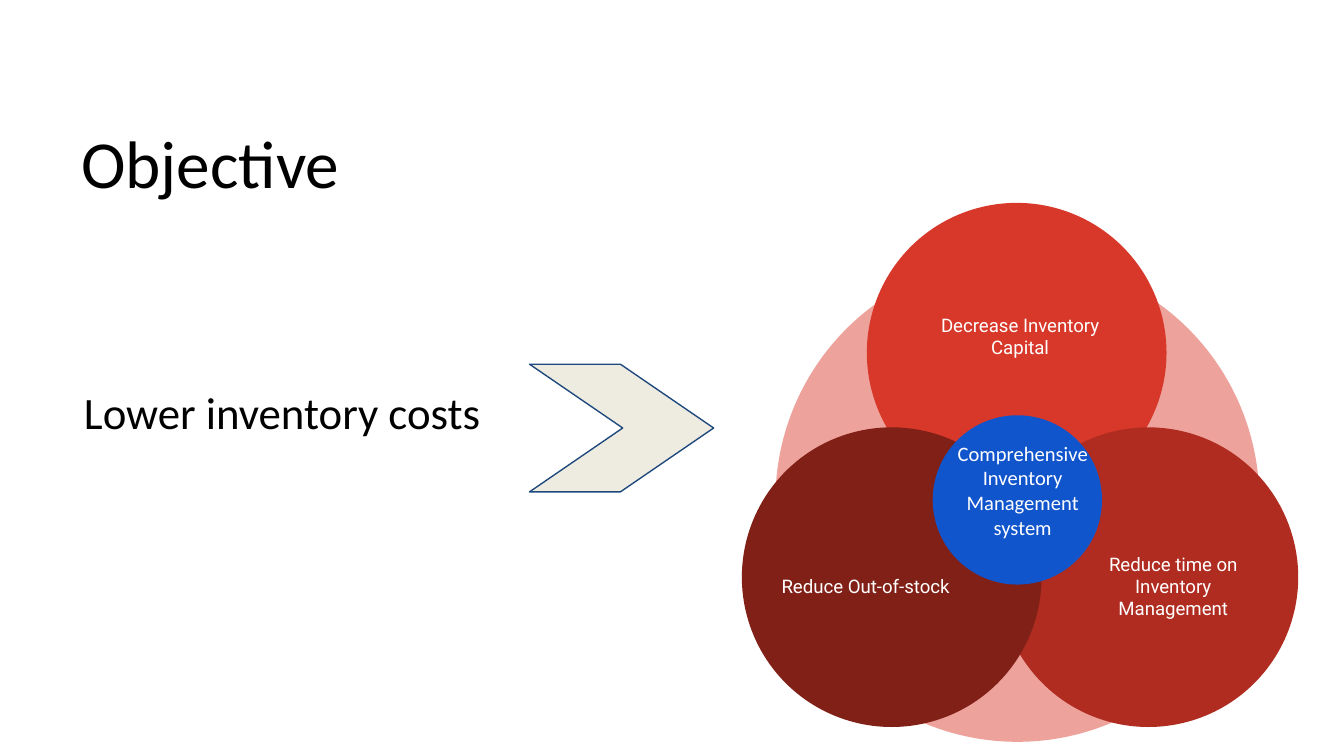
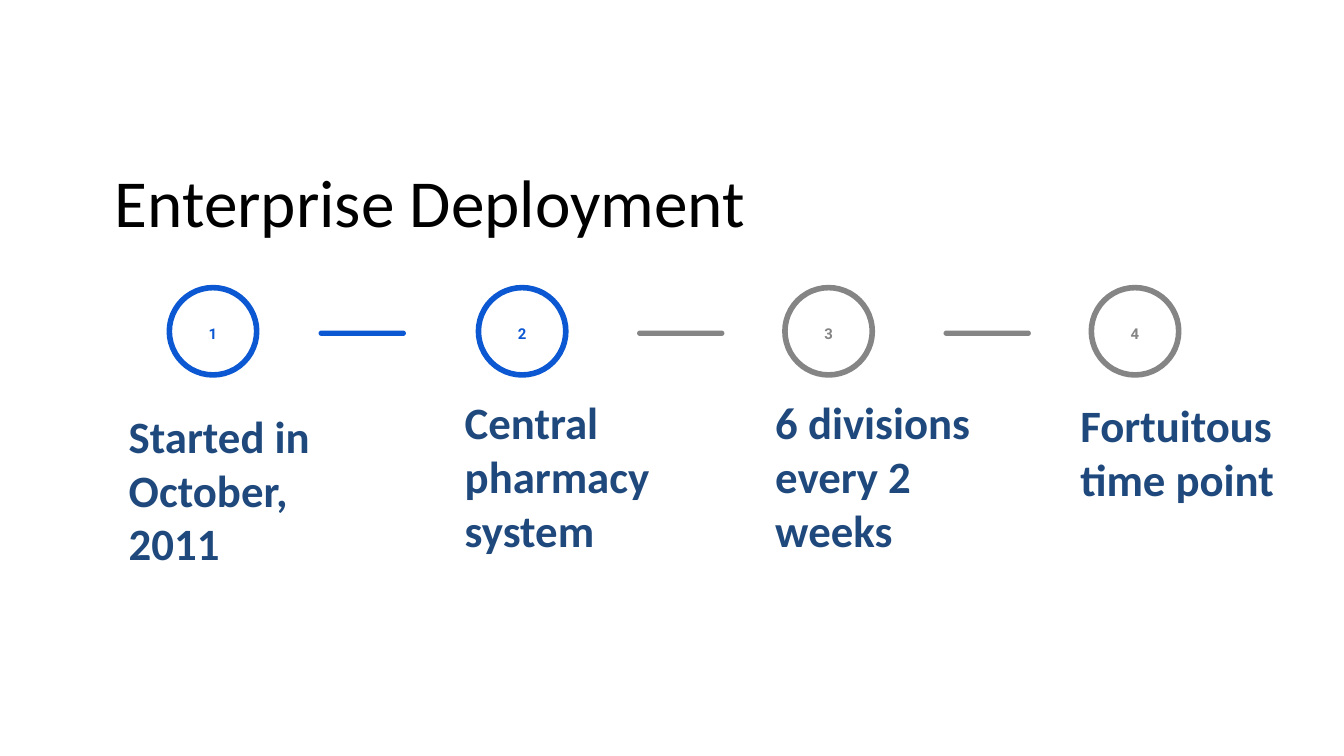
"""Build two slides: the inventory objective and the enterprise deployment steps."""
from pptx import Presentation
from pptx.dml.color import RGBColor
from pptx.enum.shapes import MSO_SHAPE as Preset
from pptx.enum.text import MSO_ANCHOR as Anchor, PP_ALIGN as Align
from pptx.util import Inches, Pt

BLACK = RGBColor(0x00, 0x00, 0x00)
WHITE = RGBColor(0xFF, 0xFF, 0xFF)
NAVY = RGBColor(0x1F, 0x49, 0x7D)
CREAM = RGBColor(0xEE, 0xEC, 0xE1)
PINK = RGBColor(0xED, 0xA2, 0x9B)
BRIGHT_RED = RGBColor(0xD8, 0x38, 0x29)
MID_RED = RGBColor(0xB0, 0x2C, 0x20)
DARK_RED = RGBColor(0x80, 0x20, 0x17)
CORE_BLUE = RGBColor(0x11, 0x55, 0xCC)
DONE_BLUE = RGBColor(0x0C, 0x58, 0xD3)
PENDING_GRAY = RGBColor(0x85, 0x85, 0x85)

deck = Presentation()
deck.slide_width, deck.slide_height = Inches(10), Inches(5.625)
CELL = deck.slide_width / 100

TITLE = {"name": "Calibri", "size": Pt(36), "color": BLACK}
GOAL = {"name": "Calibri", "size": Pt(24), "color": BLACK}
PETAL = {"name": "Roboto", "size": Pt(10), "color": WHITE}
CORE = {"name": "Calibri", "size": Pt(11), "color": WHITE}
CAPTION = {"name": "Calibri", "size": Pt(24), "bold": True, "color": NAVY}
NUMBER = {"name": "Roboto", "size": Pt(8), "bold": True}


def add_figure(slide, preset, cells, fill=None, line=None, weight=0, adjust=None):
    figure = slide.shapes.add_shape(preset, *(round(n * CELL) for n in cells))
    figure.shadow.inherit = False
    if adjust is not None:
        figure.adjustments[0] = adjust
    for part, color in ((figure.fill, fill), (figure.line.fill, line)):
        if color is None:
            part.background()
        else:
            part.solid()
            part.fore_color.rgb = color
    if line is not None:
        figure.line.width = Pt(weight)


def add_text(slide, words, cells, style, align=Align.CENTER, anchor=Anchor.TOP,
             inset=1, bottom=None, spacing=None):
    frame = slide.shapes.add_textbox(*(round(n * CELL) for n in cells)).text_frame
    margins = {"margin_left": 1, "margin_right": 1, "margin_top": inset,
               "margin_bottom": inset if bottom is None else bottom}
    for side, columns in margins.items():
        setattr(frame, side, round(columns * CELL))
    frame.word_wrap = True
    frame.vertical_anchor = anchor
    paragraph = frame.paragraphs[0]
    paragraph.alignment = align
    paragraph.line_spacing = spacing
    run = paragraph.add_run()
    run.text = words
    for key, value in style.items():
        if key == "color":
            run.font.color.rgb = value
        else:
            setattr(run.font, key, value)


blank = deck.slide_layouts[6]
objective, deployment = deck.slides.add_slide(blank), deck.slides.add_slide(blank)

for slide, heading, cells in (
    (objective, "Objective", (1.3, 9, 28.7, 6.1)),
    (deployment, "Enterprise Deployment", (0, 8.9, 64, 12.1)),
):
    add_text(slide, heading, cells, TITLE, anchor=Anchor.MIDDLE, inset=0.5)

add_text(objective, "Lower inventory costs", (4.8, 28.1, 32.4, 6.1), GOAL, inset=0.5)
add_figure(objective, Preset.CHEVRON, (39.4, 27.1, 13.7, 9.5), CREAM, NAVY, 0.75, 0.73)
add_figure(objective, Preset.OVAL, (57.7, 19.2, 36, 36), PINK)

petals = (
    ("Decrease Inventory Capital", BRIGHT_RED, 64.5, 15.1, 68.2, 21.4),
    ("Reduce time on Inventory Management", MID_RED, 74.3, 31.8, 79.6, 40),
    ("Reduce Out-of-stock", DARK_RED, 55.2, 31.8, 56.7, 40),
)
for benefit, red, left, top, label_left, label_top in petals:
    add_figure(objective, Preset.OVAL, (left, top, 22.3, 22.3), red)
    add_text(objective, benefit, (label_left, label_top, 15.4, 7.2), PETAL,
             anchor=Anchor.MIDDLE)

add_figure(objective, Preset.OVAL, (69.4, 30.9, 12.6, 12.6), CORE_BLUE)
add_text(objective, "Comprehensive Inventory Management system",
         (70.1, 31.8, 12, 10.3), CORE)

TOP_CAPTION = {"anchor": Anchor.TOP}
LOW_CAPTION = {"anchor": Anchor.BOTTOM, "bottom": 2.7}
steps = (
    ("Started in October, 2011", DONE_BLUE, 12.6, (8.6, 24.3, 18.7, 20.8), LOW_CAPTION),
    ("Central pharmacy system", DONE_BLUE, 35.6, (33.6, 28.4, 18.7, 8.1), TOP_CAPTION),
    ("6 divisions every 2 weeks", PENDING_GRAY, 58.4, (56.7, 28.4, 18.7, 8.1), TOP_CAPTION),
    ("Fortuitous time point", PENDING_GRAY, 81.2, (79.4, 28.6, 18.7, 8.1), TOP_CAPTION),
)
for number, (milestone, color, left, cells, placing) in enumerate(steps, 1):
    add_figure(deployment, Preset.OVAL, (left, 21.4, 6.5, 6.5), line=color, weight=3)
    add_text(deployment, str(number), (left + 0.85, 23.2, 4.8, 3.5),
             NUMBER | {"color": color}, spacing=1.15)
    add_text(deployment, milestone, cells, CAPTION, Align.LEFT, **placing)

for left, color in ((23.7, DONE_BLUE), (47.4, PENDING_GRAY), (70.2, PENDING_GRAY)):
    add_figure(deployment, Preset.ROUNDED_RECTANGLE, (left, 24.6, 6.5, 0.4), color, adjust=0.5)

deck.save("out.pptx")
